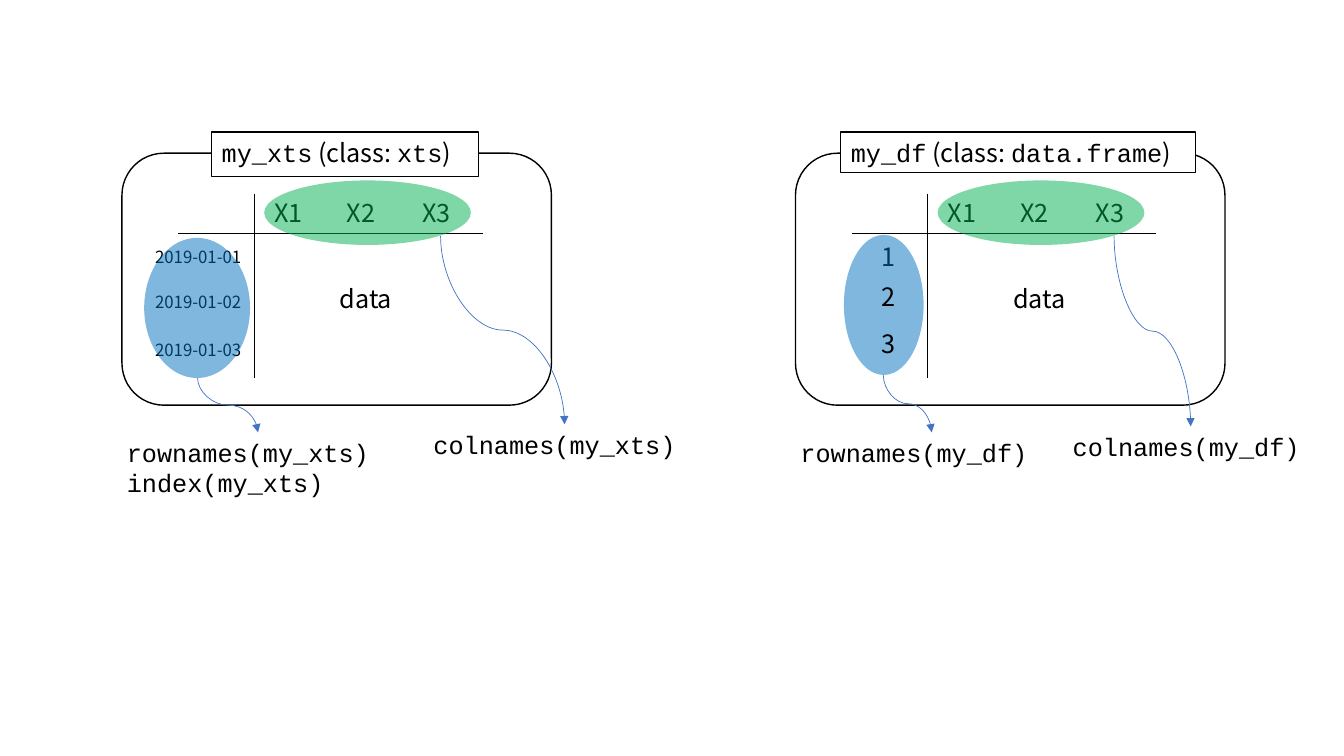
"""Draw how xts and data.frame objects name their rows and columns."""
import pptx
import pptx.util
import pptx.dml.color
import pptx.enum.shapes
import pptx.oxml
import pptx.oxml.ns

Inches = pptx.util.Inches
Pt = pptx.util.Pt
RGBColor = pptx.dml.color.RGBColor
Kind = pptx.enum.shapes.MSO_SHAPE
Link = pptx.enum.shapes.MSO_CONNECTOR

BLACK = RGBColor(0x00, 0x00, 0x00)
WHITE = RGBColor(0xFF, 0xFF, 0xFF)
GREEN = RGBColor(0x00, 0xB0, 0x50)
BLUE = RGBColor(0x00, 0x70, 0xC0)
ARROW = RGBColor(0x44, 0x72, 0xC4)
SANS = "Noto Sans CJK KR"
MONO = "Courier New"


def add_node(parent, tag, **attrs):
    """Append an XML child with the given attributes."""
    node = pptx.oxml.parse_xml(f"<{tag} {pptx.oxml.ns.nsdecls('a')}/>")
    for key, value in attrs.items():
        node.set(key, value)
    parent.append(node)


def add_text(slide, text, x, y, w, h=0.4, font=SANS, size=18, framed=False):
    """Add a text box; text is a string or a list of (words, font) runs."""
    box = slide.shapes.add_textbox(Inches(x), Inches(y), Inches(w), Inches(h))
    if framed:
        box.fill.solid()
        box.fill.fore_color.rgb = WHITE
        box.line.color.rgb = BLACK
        box.line.width = Pt(0.75)
    frame = box.text_frame
    frame.word_wrap = True
    lines = [[(line, font)] for line in text.split("\n")] if isinstance(text, str) else [text]
    for i, runs in enumerate(lines):
        para = frame.add_paragraph() if i else frame.paragraphs[0]
        for words, face in runs:
            run = para.add_run()
            run.text = words
            run.font.name = face
            run.font.size = Pt(size)
            run.font.color.rgb = BLACK


def add_frame(slide, x, y, w, h):
    """Add the rounded outline of an object."""
    shape = slide.shapes.add_shape(
        Kind.ROUNDED_RECTANGLE, Inches(x), Inches(y), Inches(w), Inches(h))
    shape.shadow.inherit = False
    shape.fill.solid()
    shape.fill.fore_color.rgb = WHITE
    shape.line.color.rgb = BLACK
    shape.line.width = Pt(1)


def add_oval(slide, x, y, w, h, color):
    """Add a half transparent ellipse without an outline."""
    oval = slide.shapes.add_shape(Kind.OVAL, Inches(x), Inches(y), Inches(w), Inches(h))
    oval.shadow.inherit = False
    oval.fill.solid()
    oval.fill.fore_color.rgb = color
    tint = oval.fill._xPr.find(".//" + pptx.oxml.ns.qn("a:srgbClr"))
    add_node(tint, "a:alpha", val="50000")
    oval.line.fill.background()


def add_line(slide, x1, y1, x2, y2, kind=Link.STRAIGHT, color=BLACK, width=0.75):
    """Add a connector without a shadow and return it."""
    line = slide.shapes.add_connector(kind, Inches(x1), Inches(y1), Inches(x2), Inches(y2))
    line.line.color.rgb = color
    line.line.width = Pt(width)
    add_node(line._element.spPr, "a:effectLst")
    return line


def add_curve(slide, x1, y1, x2, y2):
    """Add an S-shaped arrow that leaves and arrives vertically."""
    mid_x, mid_y = (x1 + x2) / 2, (y1 + y2) / 2
    dx, dy = (x2 - x1) / 2, (y2 - y1) / 2
    curve = add_line(slide, mid_x + dy, mid_y - dx, mid_x - dy, mid_y + dx,
                     kind=Link.CURVE, color=ARROW, width=0.5)
    curve._element.spPr.xfrm.set("rot", "16200000")
    add_node(curve.line._get_or_add_ln(), "a:tailEnd", type="triangle")


def add_grid(slide, x):
    """Add the frame, axes, data and column names of one object."""
    add_frame(slide, x, 1.52, 4.26, 2.5)
    add_line(slide, x + 0.56, 2.32, x + 3.58, 2.32)
    add_line(slide, x + 1.31, 1.92, x + 1.31, 3.75)
    add_text(slide, "data", x + 2.06, 2.76, 0.98)
    for name, dx in (("X1", 1.41), ("X2", 2.13), ("X3", 2.88)):
        add_text(slide, name, x + dx, 1.91, 0.58)


def add_title(slide, name, kind, x, w, h):
    """Add the framed name and class of an object."""
    runs = [(name, MONO), (" (class: ", SANS), (kind, MONO), (")", SANS)]
    add_text(slide, runs, x, 1.31, w, h, framed=True)


def add_marks(slide, x, rows):
    """Mark column names in green and row names in blue."""
    add_oval(slide, x + 1.41, 1.79, 2.05, 0.64, GREEN)
    add_oval(slide, *rows, BLUE)


def main():
    """Build and save the slide."""
    deck = pptx.Presentation()
    deck.slide_width, deck.slide_height = Inches(13.33), Inches(7.5)
    slide = deck.slides.add_slide(deck.slide_layouts[6])

    add_grid(slide, 1.21)
    for day, y in (("2019-01-01", 2.4), ("2019-01-02", 2.85), ("2019-01-03", 3.32)):
        add_text(slide, day, 1.44, y, 1.13, 0.3, size=12)
    add_marks(slide, 1.21, (1.43, 2.36, 1.05, 1.39))
    add_title(slide, "my_xts", "xts", 2.1, 2.65, 0.44)
    add_text(slide, "colnames(my_xts)", 4.2, 4.21, 2.81, font=MONO)
    add_curve(slide, 4.37, 2.34, 5.6, 4.21)
    add_text(slide, "rownames(my_xts)\nindex(my_xts)", 1.16, 4.29, 2.81, 0.71, font=MONO)
    add_curve(slide, 1.96, 3.75, 2.56, 4.29)

    add_grid(slide, 7.89)
    add_text(slide, "1", 8.64, 2.34, 0.33)
    add_marks(slide, 7.89, (8.37, 2.33, 0.79, 1.39))
    add_title(slide, "my_df", "data.frame", 8.34, 3.52, 0.4)
    add_curve(slide, 11.05, 2.34, 11.81, 4.23)
    add_text(slide, "rownames(my_df)", 7.84, 4.29, 2.81, font=MONO)
    add_curve(slide, 8.76, 3.72, 9.24, 4.29)
    add_text(slide, "colnames(my_df)", 10.54, 4.23, 2.55, font=MONO)
    for row, y in (("2", 2.74), ("3", 3.21)):
        add_text(slide, row, 8.64, y, 0.33)

    deck.save("out.pptx")


main()
